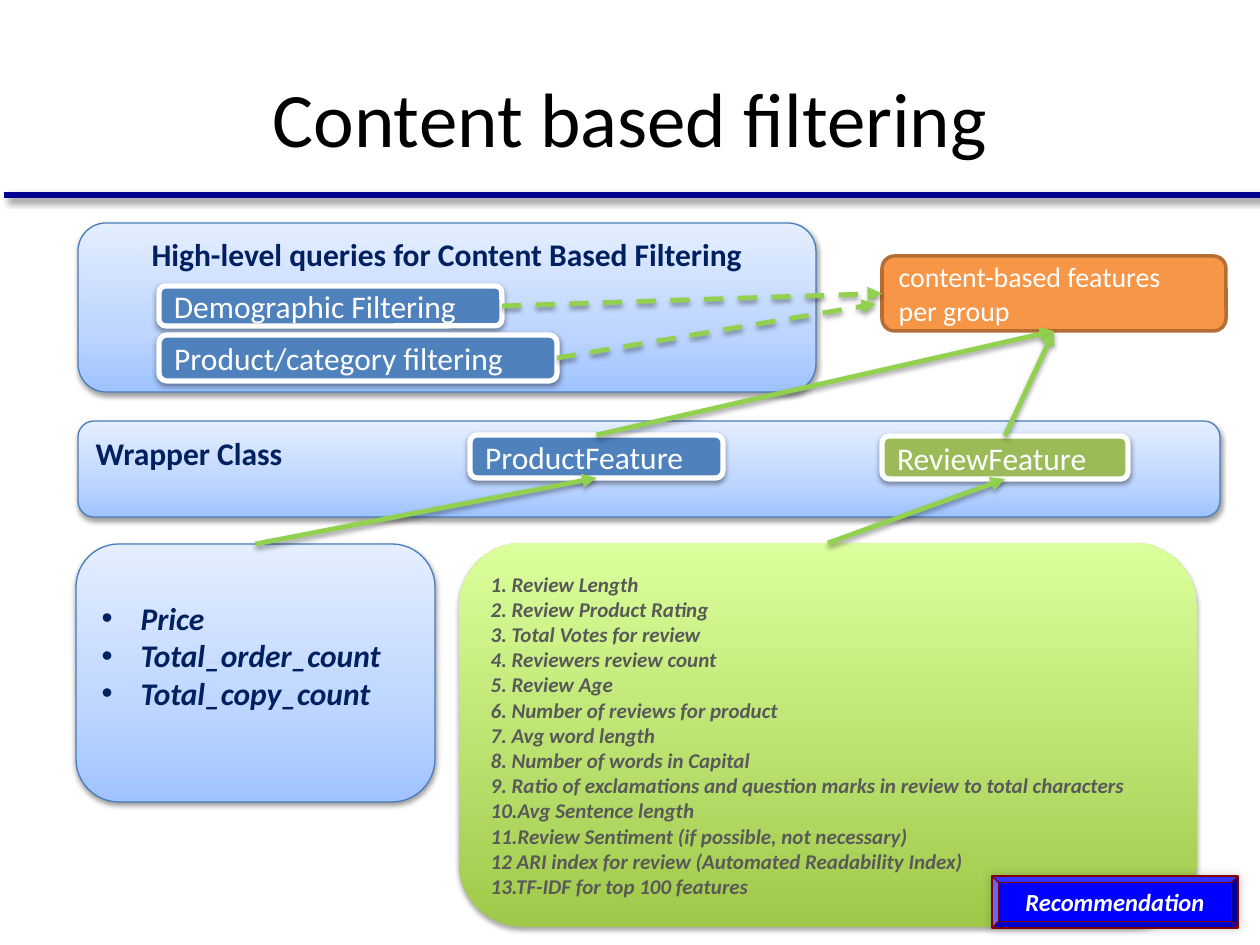
from lxml.etree import SubElement
from pptx import Presentation
from pptx.dml.color import RGBColor
from pptx.enum.dml import MSO_LINE
from pptx.enum.shapes import MSO_CONNECTOR, MSO_SHAPE
from pptx.enum.text import MSO_ANCHOR, PP_ALIGN
from pptx.oxml.ns import qn
from pptx.util import Pt

FONT = "Calibri"
SCALE = 914400 / 126
HEX = {
    "black": "000000", "white": "FFFFFF", "navy": "002060", "rule": "000090",
    "blue": "4F81BD", "edge": "4A7DBA", "green": "9BBB59", "arrow": "92D050",
    "orange": "F79646", "rust": "B46D33", "grey": "595959",
    "badge": "0000FF", "maroon": "800000",
}
SKY = [(0, "9FC3FF"), (35, "BDD5FF"), (100, "E4EEFF")]
LIME = [(0, "A0C94A"), (100, "DBFF9C")]

# Shadows: opacity %, blur pt, distance pt, angle
SOFT = (38, 3.1, 1.6, 90)
PALE = (35, 3.1, 1.8, 90)
GLOW = (20, 6, 0, 0)
DEEP = (40, 4, 3, 45)

TITLE = "Content based filtering"
PRICES = ["Price", "Total_order_count", "Total_copy_count"]
REVIEWS = [
    "1. Review Length",
    "2. Review Product Rating",
    "3. Total Votes for review",
    "4. Reviewers review count",
    "5. Review Age",
    "6. Number of reviews for product",
    "7. Avg word length",
    "8. Number of words in Capital",
    "9. Ratio of exclamations and question marks in review to total characters",
    "10.Avg Sentence length",
    "11.Review Sentiment (if possible, not necessary)",
    "12 ARI index for review (Automated Readability Index)",
    "13.TF-IDF for top 100 features",
]

# Looks shared by several boxes; "top" is the inset of top-anchored text
PANEL = dict(fill=SKY, line=("edge", 0.75), color="navy", bold=True)
CHIP = dict(fill="blue", line=("white", 3))
BOXES = {
    "reviews": ((459, 543, 738, 384), REVIEWS,
                dict(fill=LIME, shade=PALE, color="grey", size=12, bold=True, italic=True)),
    "badge": ((992, 876, 246, 52), ["Recommendation"],
              dict(kind=MSO_SHAPE.BEVEL, fill="badge", line=("maroon", 0.75), shade=GLOW,
                   size=14, bold=True, italic=True, center=True)),
    "wrapper": ((78, 421, 1142, 96), ["Wrapper Class"], dict(PANEL, top=8)),
    "product": ((470, 435, 253, 43), ["ProductFeature"], CHIP),
    "review": ((882, 436, 246, 43), ["ReviewFeature"], dict(CHIP, fill="green")),
    "queries": ((78, 223, 738, 169), ["High-level queries for Content Based Filtering"],
                dict(PANEL, top=4, center=True)),
    "goal": ((882, 256, 344, 75), ["content-based features", "per group"],
             dict(fill="orange", line=("rust", 2), shade=None, size=16)),
    "prices": ((76, 544, 359, 258), PRICES, dict(PANEL, top=42, italic=True, bullet=True)),
    "people": ((159, 286, 343, 40), ["Demographic Filtering"], CHIP),
    "category": ((159, 335, 398, 46), ["Product/category filtering"], CHIP),
}

# Arrows: start box and side, end box and side (or a point), dashed
TOP, LEFT, BOTTOM, RIGHT = range(4)
ARROWS = [
    (("product", TOP), ("goal", BOTTOM), False),
    (("review", TOP), ("goal", BOTTOM), False),
    (("reviews", TOP), ("review", BOTTOM), False),
    (("prices", TOP), ("product", BOTTOM), False),
    (("people", RIGHT), ("goal", LEFT), True),
    (("category", RIGHT), (876, 304), True),
]


def px(n):
    """Turn pixels into EMU."""
    return round(n * SCALE)


def rgb(name):
    """Look up a named colour."""
    return RGBColor.from_string(HEX[name])


def shadow(item, shade):
    """Give a shape or connector its own shadow, or none."""
    props = item._element.spPr
    fx = props.find(qn("a:effectLst"))
    if fx is None:
        fx = SubElement(props, qn("a:effectLst"))
    if shade:
        alpha, blur, dist, turn = shade
        out = SubElement(fx, qn("a:outerShdw"), blurRad=str(Pt(blur)), dist=str(Pt(dist)),
                         dir=str(turn * 60000), rotWithShape="0")
        tint = SubElement(out, qn("a:srgbClr"), val=HEX["black"])
        SubElement(tint, qn("a:alpha"), val=str(alpha * 1000))


def blend(shape, stops):
    """Fill a shape with a gradient that runs from bottom to top."""
    shape.fill.gradient()
    shape.fill.gradient_angle = 90
    items = shape._element.spPr.find(qn("a:gradFill")).find(qn("a:gsLst"))
    for old in list(items):
        items.remove(old)
    for pos, tint in stops:
        stop = SubElement(items, qn("a:gs"), pos=str(pos * 1000))
        SubElement(stop, qn("a:srgbClr"), val=tint)


def write(frame, lines, size=18, color="white", bold=False, italic=False,
          center=False, bullet=False):
    """Write one paragraph per line."""
    for i, text in enumerate(lines):
        para = frame.add_paragraph() if i else frame.paragraphs[0]
        para.alignment = PP_ALIGN.CENTER if center else PP_ALIGN.LEFT
        if bullet:
            props = para._p.get_or_add_pPr()
            props.set("marL", str(px(39)))
            props.set("indent", str(px(-39)))
            SubElement(props, qn("a:buFont"), typeface="Arial")
            SubElement(props, qn("a:buChar"), char="•")
        run = para.add_run()
        run.text = text
        font = run.font
        font.name, font.size = FONT, Pt(size)
        font.bold, font.italic = bold, italic
        font.color.rgb = rgb(color)


def box(slide, area, lines, fill, line=None, shade=SOFT, top=None,
        kind=MSO_SHAPE.ROUNDED_RECTANGLE, **style):
    """Add a filled box with its text."""
    shape = slide.shapes.add_shape(kind, *map(px, area))
    if isinstance(fill, list):
        blend(shape, fill)
    else:
        shape.fill.solid()
        shape.fill.fore_color.rgb = rgb(fill)
    if line:
        shape.line.color.rgb, shape.line.width = rgb(line[0]), Pt(line[1])
    else:
        shape.line.fill.background()
    shape.shadow.inherit = False
    shadow(shape, shade)
    frame = shape.text_frame
    frame.word_wrap = True
    frame.margin_left = frame.margin_right = px(13)
    frame.margin_top, frame.margin_bottom = px(top or 0), 0
    frame.vertical_anchor = MSO_ANCHOR.MIDDLE if top is None else MSO_ANCHOR.TOP
    write(frame, lines, **style)
    return shape


def link(slide, ends, color, width, shade):
    """Add a straight line."""
    line = slide.shapes.add_connector(MSO_CONNECTOR.STRAIGHT, *map(px, ends))
    line.line.color.rgb, line.line.width = rgb(color), Pt(width)
    shadow(line, shade)
    return line


def arrow(slide, boxes, start, end, dashed):
    """Join two boxes, or a box and a point, with an arrow."""
    free = isinstance(end[0], int)
    line = link(slide, (0, 0, *(end if free else (0, 0))), "arrow", 2.75, SOFT)
    line.begin_connect(boxes[start[0]], start[1])
    if not free:
        line.end_connect(boxes[end[0]], end[1])
    if dashed:
        line.line.dash_style = MSO_LINE.DASH
    SubElement(line.line._get_or_add_ln(), qn("a:tailEnd"), type="triangle")


def main():
    """Build the slide."""
    deck = Presentation()
    deck.slide_width, deck.slide_height = px(1260), px(945)
    slide = deck.slides.add_slide(deck.slide_layouts[5])
    title = slide.shapes.title
    title.left, title.top, title.width, title.height = map(px, (63, 38, 1134, 158))
    title.text_frame.vertical_anchor = MSO_ANCHOR.MIDDLE
    write(title.text_frame, [TITLE], size=44, color="black", center=True)
    link(slide, (4, 195, 1260, 195), "rule", 3, DEEP)
    boxes = {name: box(slide, area, lines, **look)
             for name, (area, lines, look) in BOXES.items()}
    for start, end, dashed in ARROWS:
        arrow(slide, boxes, start, end, dashed)
    deck.save("out.pptx")


main()
